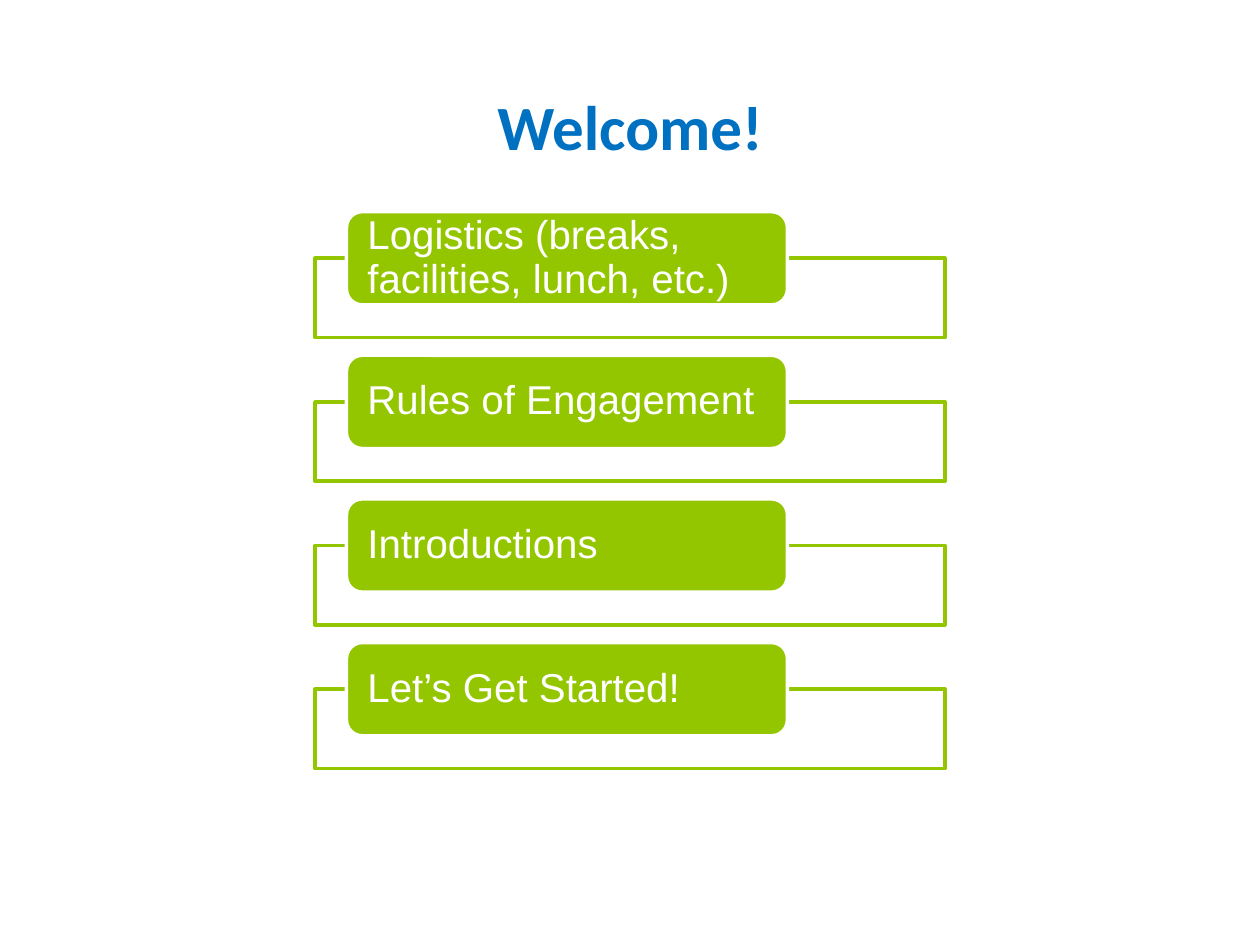
from lxml import etree
from pptx import Presentation
from pptx.dml.color import RGBColor
from pptx.enum import shapes, text
from pptx.oxml.ns import qn
from pptx.util import Inches, Pt

# Content
HEADING = "Welcome!"
AGENDA = [
    "Logistics (breaks, facilities, lunch, etc.)",
    "Rules of Engagement",
    "Introductions",
    "Let’s Get Started!",
]
COLORS = {"heading": "0070C0", "green": "94C600", "white": "FFFFFF"}

# Layout in inches
FRAME_LEFT, FRAME_TOP, FRAME_W, FRAME_H = 2.5, 2.05, 5, 0.63
LABEL_LEFT, LABEL_W, LABEL_H = 2.75, 3.5, 0.74
ROW_STEP = 1.14


def color(name):
    return RGBColor.from_string(COLORS[name])


def add_box(group, kind, left, top, width, height, fill, line):
    box = group.shapes.add_shape(
        kind, Inches(left), Inches(top), Inches(width), Inches(height))
    box.shadow.inherit = False
    box.fill.solid()
    box.fill.fore_color.rgb = color(fill)
    box.line.color.rgb = color(line)
    box.line.width = Pt(2)
    return box


def write(frame, words, font_name, size, ink, align, bold=False):
    frame.word_wrap = True
    frame.vertical_anchor = text.MSO_ANCHOR.MIDDLE
    paragraph = frame.paragraphs[0]
    paragraph.alignment = align
    paragraph.line_spacing = 0.9
    run = paragraph.add_run()
    run.text = words
    run.font.name = font_name
    run.font.size = Pt(size)
    run.font.bold = bold
    run.font.color.rgb = color(ink)


prs = Presentation()
prs.slide_width, prs.slide_height = Inches(10), Inches(7.5)
slide = prs.slides.add_slide(prs.slide_layouts[5])

# Heading
heading = slide.shapes.title
heading.left, heading.top = Inches(0.69), Inches(0.4)
heading.width, heading.height = Inches(8.62), Inches(1.27)
write(heading.text_frame, HEADING, "Calibri", 36, "heading",
      text.PP_ALIGN.CENTER, bold=True)

# Agenda: a frame per row, with a label centred on its top edge
agenda_group = slide.shapes.add_group_shape()
for row, item in enumerate(AGENDA):
    top = FRAME_TOP + row * ROW_STEP
    frame = add_box(agenda_group, shapes.MSO_SHAPE.RECTANGLE,
                    FRAME_LEFT, top, FRAME_W, FRAME_H, "white", "green")
    frame_color = frame.fill._xPr.find(qn("a:solidFill"))[0]
    etree.SubElement(frame_color, qn("a:alpha"), val="89000")

    label = add_box(agenda_group, shapes.MSO_SHAPE.ROUNDED_RECTANGLE,
                    LABEL_LEFT, top - LABEL_H / 2, LABEL_W, LABEL_H,
                    "green", "white")
    label.adjustments[0] = 0.17
    label_text = label.text_frame
    label_text.margin_left = label_text.margin_right = Inches(0.13)
    label_text.margin_top = label_text.margin_bottom = 0
    write(label_text, item, "Arial", 23, "white", text.PP_ALIGN.LEFT)

prs.save("out.pptx")
